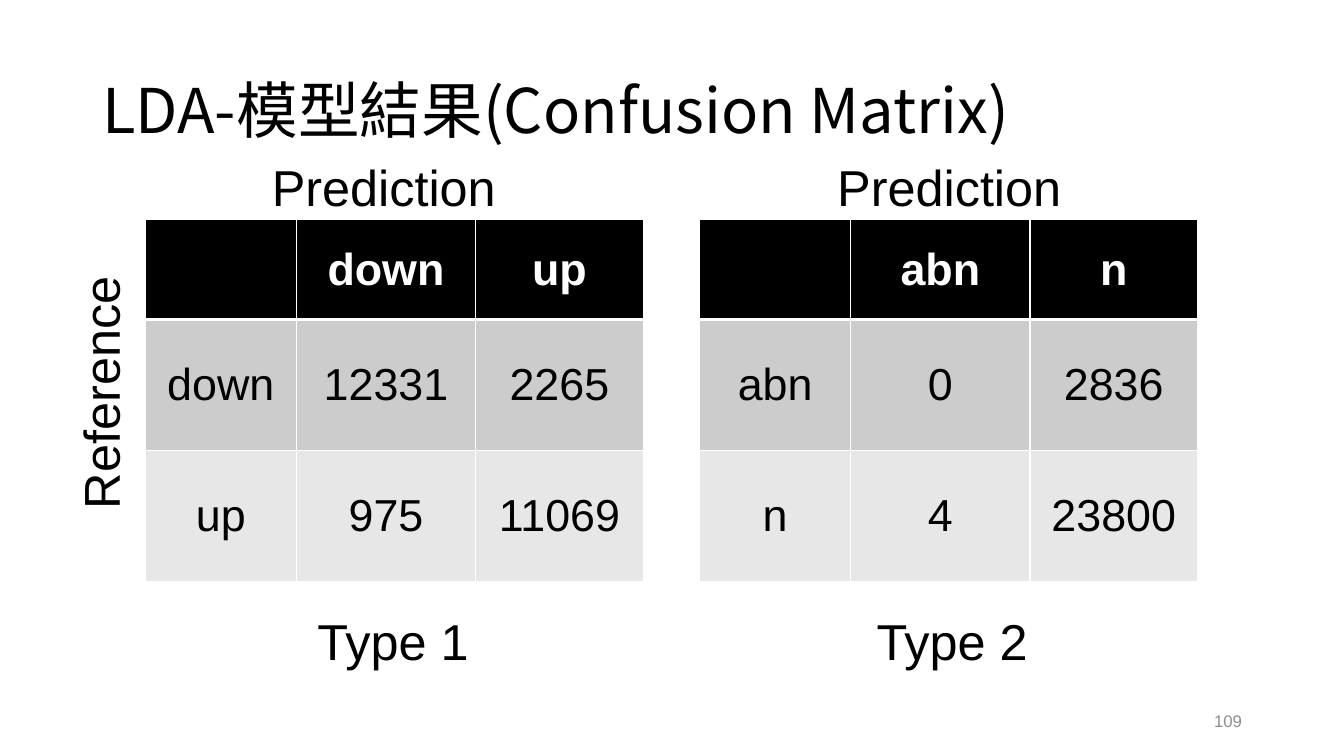
from dataclasses import dataclass

from lxml.etree import SubElement
from pptx import Presentation
from pptx.dml.color import RGBColor
from pptx.enum.text import MSO_ANCHOR as Anchor, PP_ALIGN as Align
from pptx.oxml.ns import qn
from pptx.slide import Slide
from pptx.table import _Cell as Cell
from pptx.text.text import _Paragraph as Paragraph
from pptx.util import Cm, Pt

BLACK = RGBColor(0x00, 0x00, 0x00)
WHITE = RGBColor(0xFF, 0xFF, 0xFF)
DARK_BAND = RGBColor(0xCC, 0xCC, 0xCC)
LIGHT_BAND = RGBColor(0xE7, 0xE7, 0xE7)
PAGE_GREY = RGBColor(0x8C, 0x8C, 0x8C)
BODY_FONT = "Arial"
TITLE_FONT = "Noto Sans CJK SC"

MATRIX_TOP = 5.54
COLUMN_WIDTHS = (3.81, 4.52, 4.22)
ROW_HEIGHTS = (2.51, 3.3, 3.3)
ROW_FILLS = (BLACK, DARK_BAND, LIGHT_BAND)


@dataclass
class Label:
    text: str
    left: float
    top: float
    width: float
    height: float
    size: int = 36
    font: str = BODY_FONT
    color: RGBColor = BLACK
    align: Align = Align.LEFT
    anchor: Anchor = Anchor.TOP
    line_spacing: float = 1.0
    wrap: bool = True
    upright: bool = False


@dataclass
class ConfusionMatrix:
    left: float
    classes: tuple[str, str]
    counts: tuple[tuple[int, int], tuple[int, int]]

    def rows(self) -> list[tuple[str, ...]]:
        body = [(name, *map(str, row)) for name, row in zip(self.classes, self.counts)]
        return [("", *self.classes), *body]


LABELS = [
    Label("LDA-模型結果(Confusion Matrix)", 2.33, 1.02, 29.21, 3.68, size=44,
          font=TITLE_FONT, anchor=Anchor.MIDDLE, line_spacing=0.9),
    Label("109", 23.93, 17.65, 7.62, 1.02, size=12, color=PAGE_GREY,
          align=Align.RIGHT, anchor=Anchor.MIDDLE),
    Label("Prediction", 6.6, 3.81, 6.22, 1.8, wrap=False),
    Label("Prediction", 20.85, 3.81, 6.22, 1.8, wrap=False),
    Label("Reference", 1.63, 6.91, 3.58, 6.17, wrap=False, upright=True),
    Label("Type 1", 7.75, 15.24, 4.42, 1.8),
    Label("Type 2", 21.84, 15.24, 4.42, 1.8),
]

MATRICES = [
    ConfusionMatrix(3.66, ("down", "up"), ((12331, 2265), (975, 11069))),
    ConfusionMatrix(17.63, ("abn", "n"), ((0, 2836), (4, 23800))),
]


def add_run(paragraph: Paragraph, text: str, size: int, font: str,
            color: RGBColor, bold: bool = False) -> None:
    run = paragraph.add_run()
    run.text = text
    run.font.size = Pt(size)
    run.font.name = font
    run.font.bold = bold
    run.font.color.rgb = color
    # East Asian glyphs use the same typeface
    SubElement(run.font._element, qn("a:ea"), typeface=font)


def add_label(slide: Slide, label: Label) -> None:
    box = slide.shapes.add_textbox(Cm(label.left), Cm(label.top),
                                   Cm(label.width), Cm(label.height))
    frame = box.text_frame
    frame.word_wrap = label.wrap
    frame.vertical_anchor = label.anchor
    if label.upright:
        frame._txBody.bodyPr.set("vert", "vert270")
    paragraph = frame.paragraphs[0]
    paragraph.alignment = label.align
    paragraph.line_spacing = label.line_spacing
    add_run(paragraph, label.text, label.size, label.font, label.color)


def set_borders(cell: Cell, top: float, bottom: float) -> None:
    properties = cell._tc.get_or_add_tcPr()
    for side, width in (("L", 1), ("R", 1), ("T", top), ("B", bottom)):
        line = SubElement(properties, qn(f"a:ln{side}"), w=str(Pt(width)))
        fill = SubElement(line, qn("a:solidFill"))
        SubElement(fill, qn("a:srgbClr"), val=str(WHITE))


def add_matrix(slide: Slide, matrix: ConfusionMatrix) -> None:
    table = slide.shapes.add_table(
        len(ROW_HEIGHTS), len(COLUMN_WIDTHS), Cm(matrix.left), Cm(MATRIX_TOP),
        Cm(sum(COLUMN_WIDTHS)), Cm(sum(ROW_HEIGHTS))).table
    for column, width in zip(table.columns, COLUMN_WIDTHS):
        column.width = Cm(width)
    for row, height in zip(table.rows, ROW_HEIGHTS):
        row.height = Cm(height)
    for r, texts in enumerate(matrix.rows()):
        header = r == 0
        for c, text in enumerate(texts):
            cell = table.cell(r, c)
            # The rule below the header is thicker than the others
            set_borders(cell, top=3 if r == 1 else 1, bottom=3 if header else 1)
            cell.fill.solid()
            cell.fill.fore_color.rgb = ROW_FILLS[r]
            cell.vertical_anchor = Anchor.MIDDLE
            if text:
                paragraph = cell.text_frame.paragraphs[0]
                paragraph.alignment = Align.CENTER
                add_run(paragraph, text, 32, BODY_FONT,
                        WHITE if header else BLACK, bold=header)


def main() -> None:
    deck = Presentation()
    deck.slide_width, deck.slide_height = Cm(33.87), Cm(19.05)
    slide = deck.slides.add_slide(deck.slide_layouts[6])

    # Confusion matrices
    for matrix in MATRICES:
        add_matrix(slide, matrix)

    # Title, axis names, captions and page number
    for label in LABELS:
        add_label(slide, label)

    deck.save("out.pptx")


if __name__ == "__main__":
    main()
